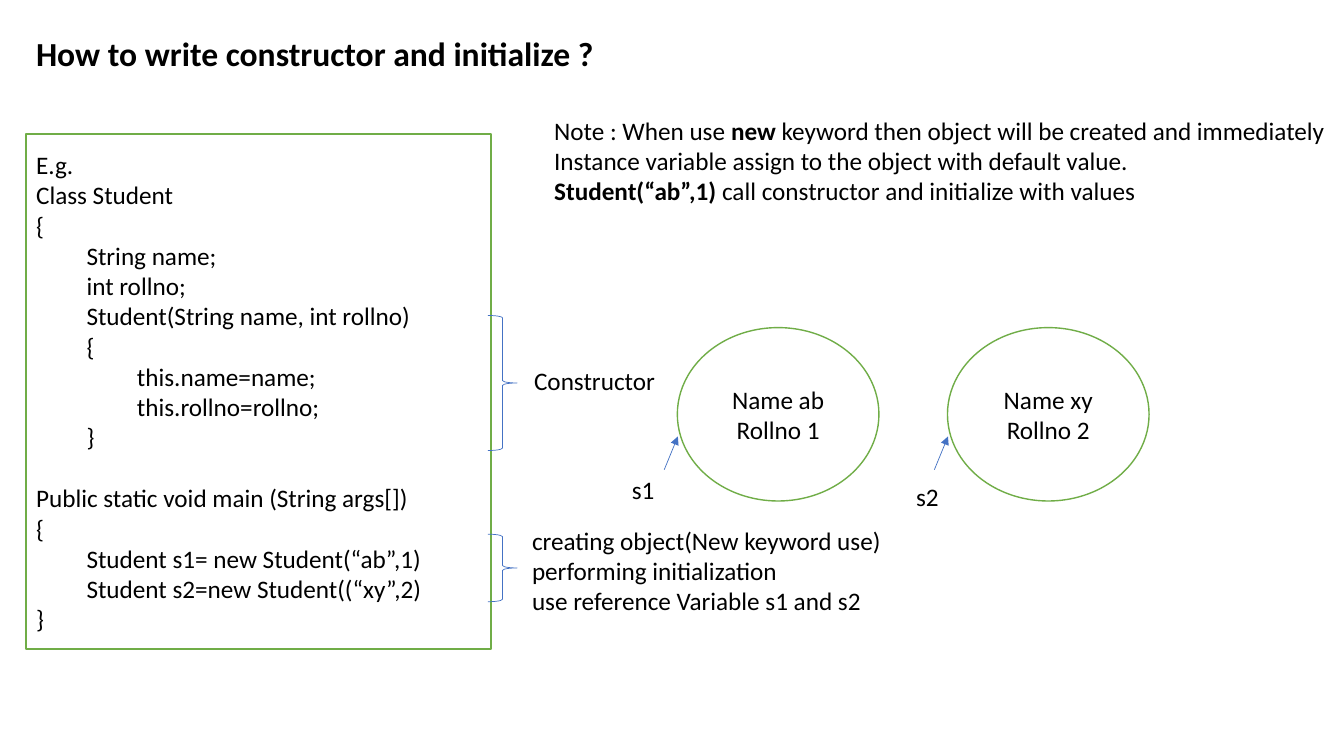
"""Build a slide that explains constructors and initialization."""
from dataclasses import dataclass

from lxml import etree
from pptx import Presentation
from pptx import util as u
from pptx.dml.color import RGBColor
from pptx.enum import shapes, text
from pptx.oxml import ns

CELL = u.Inches(1) // 6
COLS, ROWS = 80, 45


@dataclass(frozen=True)
class Theme:
    """Colours, font and sizes of the slide."""
    font: str = "Calibri"
    ink: str = "000000"
    paper: str = "FFFFFF"
    edge: str = "70AD47"
    mark: str = "4472C4"
    head: int = 24
    body: int = 18
    thick: float = 1
    thin: float = 0.5


T = Theme()

CODE = """E.g.
Class Student
{
\tString name;
\tint rollno;
\tStudent(String name, int rollno)
\t{
\t\tthis.name=name;
\t\tthis.rollno=rollno;
\t}
Public static void main (String args[])
{
\tStudent s1= new Student(“ab”,1)
\tStudent s2=new Student((“xy”,2)
}"""

STEPS = """creating object(New keyword use)
performing initialization
use reference Variable s1 and s2"""

NOTE = """Note : When use |new| keyword then object will be created and immediately
Instance variable assign to the object with default value.
|Student(“ab”,1) |call constructor and initialize with values"""


def grid(*cells):
    """Turn grid cells into slide lengths."""
    return [u.Emu(round(c * CELL)) for c in cells]


def stroke(line, color, width):
    """Set the colour and width of a line."""
    line.color.rgb = RGBColor.from_string(color)
    line.width = u.Pt(width)


def write(frame, words, size=T.body, align=text.PP_ALIGN.LEFT):
    """Fill a frame line by line, with bold between bars."""
    for i, row in enumerate(words.split("\n")):
        para = frame.paragraphs[0] if i == 0 else frame.add_paragraph()
        para.alignment = align
        for j, part in enumerate(row.split("|")):
            if part:
                run = para.add_run()
                run.text = part
                run.font.name = T.font
                run.font.size = u.Pt(size)
                run.font.bold = j % 2 == 1
                run.font.color.rgb = RGBColor.from_string(T.ink)


def label(slide, box, words, size=T.body, wrap=False):
    """Add a plain text box."""
    frame = slide.shapes.add_textbox(*grid(*box)).text_frame
    frame.word_wrap = wrap
    write(frame, words, size)


def panel(slide, kind, box, words, align):
    """Add a white shape with a green edge and text."""
    form = slide.shapes.add_shape(kind, *grid(*box))
    form.shadow.inherit = False
    form.fill.solid()
    form.fill.fore_color.rgb = RGBColor.from_string(T.paper)
    stroke(form.line, T.edge, T.thick)
    form.text_frame.vertical_anchor = text.MSO_ANCHOR.MIDDLE
    write(form.text_frame, words, align=align)
    return form


def brace(slide, top, height):
    """Add a brace on the right edge of the code."""
    form = slide.shapes.add_shape(
        shapes.MSO_SHAPE.RIGHT_BRACE, *grid(29.04, top, 1.74, height))
    form.shadow.inherit = False
    form.fill.background()
    stroke(form.line, T.mark, T.thin)


def arrow(slide, *ends):
    """Add a thin arrow between two grid points."""
    link = slide.shapes.add_connector(
        shapes.MSO_CONNECTOR.STRAIGHT, *grid(*ends))
    stroke(link.line, T.mark, T.thin)
    tail = etree.SubElement(link.line._get_or_add_ln(), ns.qn("a:tailEnd"))
    tail.set("type", "triangle")
    etree.SubElement(link._element.spPr, ns.qn("a:effectLst"))


def student(slide, left, words, name, spot):
    """Add an object circle with its reference and arrow."""
    panel(slide, shapes.MSO_SHAPE.FLOWCHART_CONNECTOR,
          (left, 19.5, 12, 10.32), words, text.PP_ALIGN.CENTER)
    label(slide, spot, name, wrap=True)
    arrow(slide, left - 0.78, 27.96, left + 0.03, 25.98)


def main():
    """Build and save the slide."""
    deck = Presentation()
    deck.slide_width, deck.slide_height = grid(COLS, ROWS)
    slide = deck.slides.add_slide(deck.slide_layouts[6])
    label(slide, (1.56, 1.68, 35.16, 3),
          "|How to write constructor and initialize ?|", T.head)
    code = panel(slide, shapes.MSO_SHAPE.RECTANGLE,
                 (1.56, 7.98, 27.66, 30.66), CODE, text.PP_ALIGN.LEFT)
    start = next(p for p in code.text_frame.paragraphs
                 if p.text.startswith("Public"))
    start.space_before = u.Pt(22)
    label(slide, (31.2, 21.48, 8.46, 2.4), "Constructor")
    brace(slide, 18.78, 8.04)
    student(slide, 40.32, "Name ab\nRollno 1", "s1",
            (37.02, 27.96, 13.62, 2.4))
    student(slide, 56.4, "Name xy\nRollno 2", "s2",
            (53.94, 28.38, 25.44, 2.4))
    label(slide, (31.08, 30.96, 22.98, 6.06), STEPS)
    brace(slide, 31.8, 4.02)
    label(slide, (32.4, 6.54, 48, 7.86), NOTE)
    deck.save("out.pptx")


if __name__ == "__main__":
    main()
